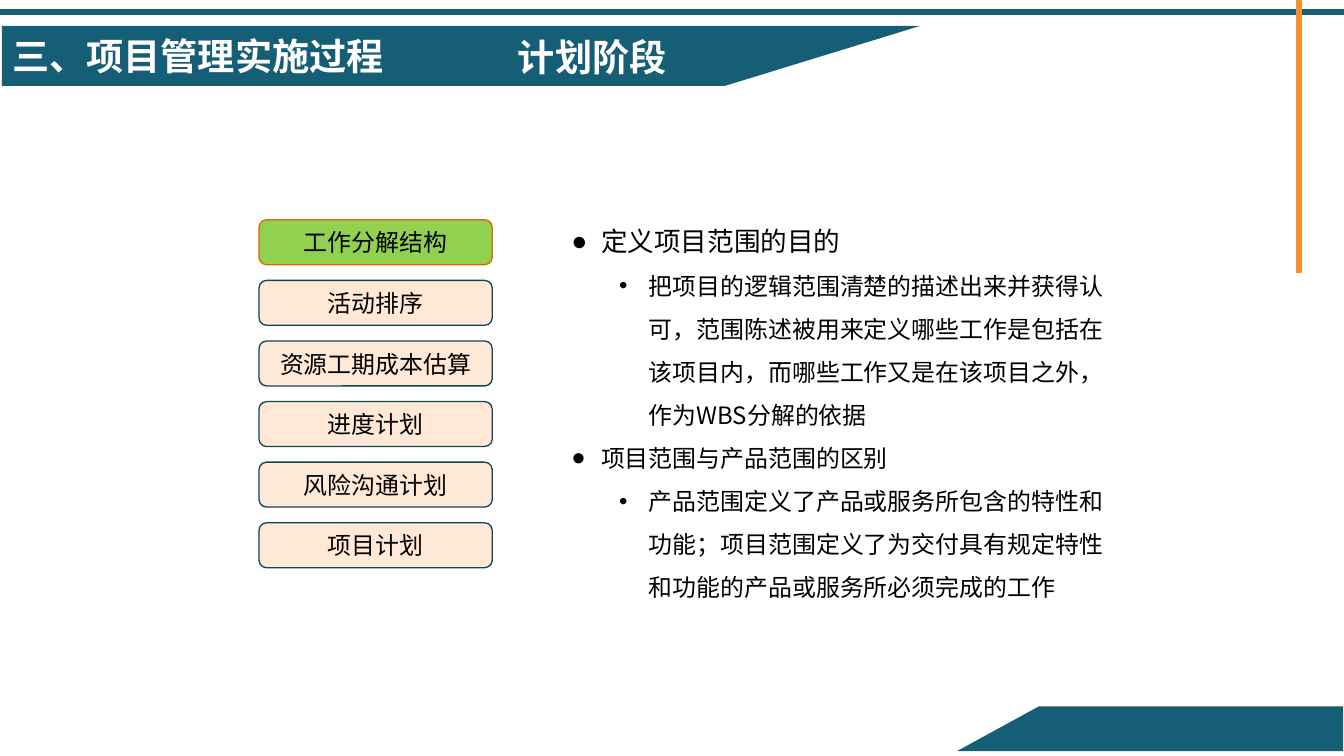
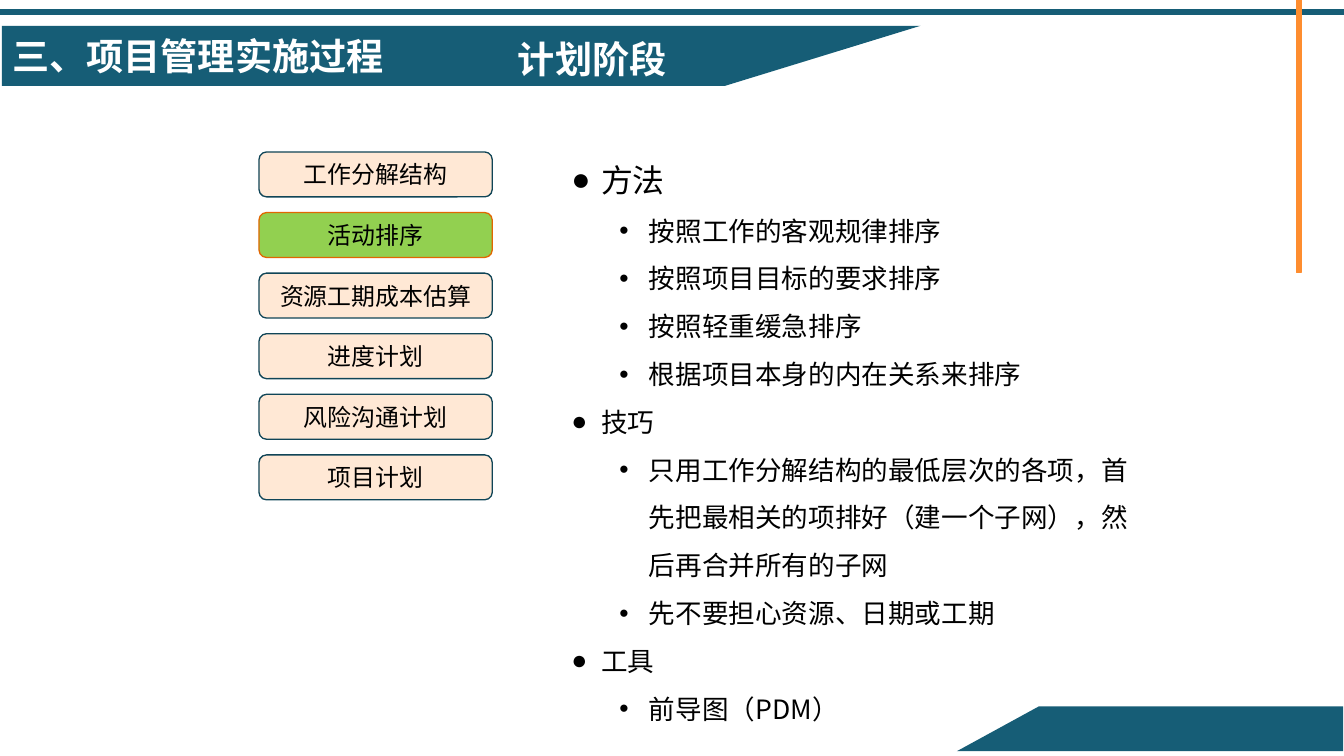
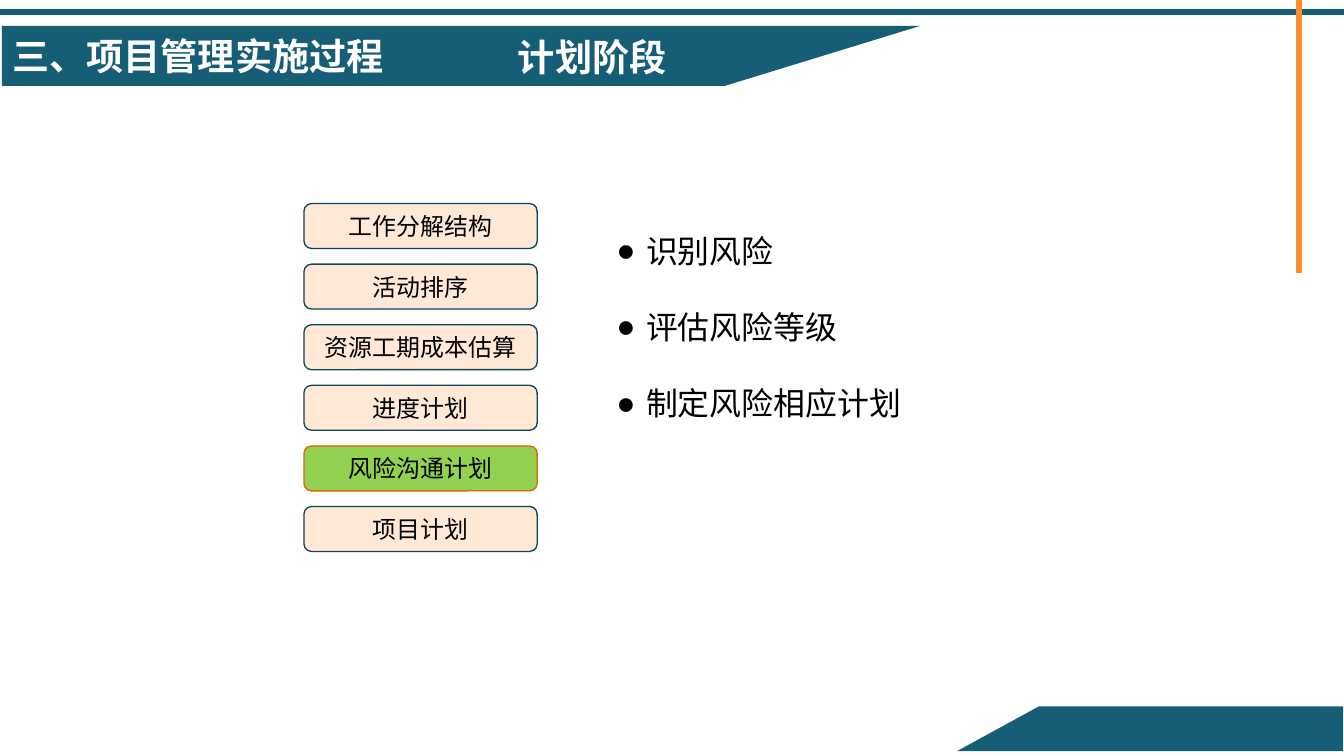
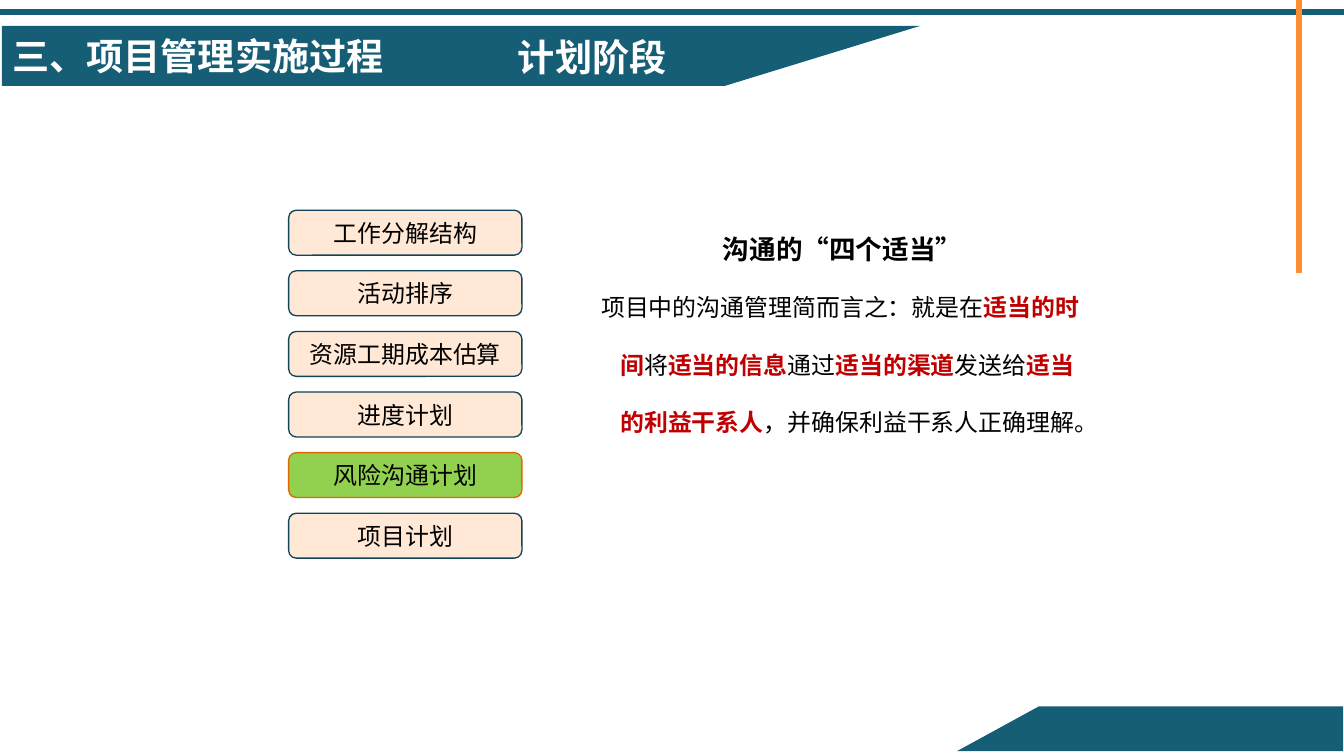
from lxml.etree import SubElement as Sub
from pptx import Presentation
from pptx.dml.color import RGBColor as RGB
from pptx.enum.shapes import MSO_SHAPE as Kind
from pptx.enum.text import MSO_ANCHOR as Anchor, MSO_AUTO_SIZE as Fit, PP_ALIGN as Align
from pptx.oxml.ns import qn
from pptx.util import Inches, Pt

HUES = {
    "teal": "165D76", "orange": "FE8D2F", "cream": "FFE8D5", "edge": "104557",
    "green": "92D050", "rust": "E16701", "red": "C00000", "ink": "000000", "white": "FFFFFF",
}
SANS = "Noto Sans CJK SC"
STEPS = ["工作分解结构", "活动排序", "资源工期成本估算", "进度计划", "风险沟通计划", "项目计划"]
PITCH = 3.17 / 5


def put(par, text, size=18, hue="ink", bold=False, font=SANS,
        align=None, gap=None, level=0, left=None, hang=0, mark=None):
    if left is not None:
        props = par._p.get_or_add_pPr()
        props.set("marL", str(Inches(left)))
        props.set("indent", str(Inches(hang)))
        par.level = level
        if mark:
            Sub(props, qn("a:buFont")).set("typeface", "Arial")
            Sub(props, qn("a:buChar")).set("char", mark)
        else:
            Sub(props, qn("a:buNone"))
    if align is not None:
        par.alignment = align
    if gap:
        par.line_spacing = gap
    run = par.add_run()
    run.text = text
    run.font.size = Pt(size)
    run.font.bold = bold
    run.font.color.rgb = RGB.from_string(HUES[hue])
    run.font.name = font
    Sub(run._r.get_or_add_rPr(), qn("a:ea")).set("typeface", SANS)


def tint(shape, fill, line=None):
    shape.shadow.inherit = False
    shape.fill.solid()
    shape.fill.fore_color.rgb = RGB.from_string(HUES[fill])
    if line:
        shape.line.color.rgb = RGB.from_string(HUES[line])
        shape.line.width = Pt(1)
    else:
        shape.line.fill.background()


deck = Presentation()
deck.slide_width, deck.slide_height = Inches(14.06), Inches(7.91)
layout = deck.slide_layouts[5]
slides = [deck.slides.add_slide(layout) for _ in range(4)]

bars = [
    (0, 0.1, 14.06, 0.05, "teal"),
    (13.56, 0, 0.05, 0.85, "orange"),
    (13.56, 0.65, 0.05, 2.2, "orange"),
]
bands = [
    [(0.02, 0.27), (9.63, 0.27), (7.58, 0.9), (0.02, 0.9)],
    [(14.05, 7.86), (10.01, 7.86), (10.87, 7.39), (14.05, 7.39)],
]
shapes = slides[0].shapes
frame = []
for *box, hue in bars:
    bar = shapes.add_shape(Kind.RECTANGLE, *map(Inches, box))
    tint(bar, hue, hue)
    frame.append(bar)
for band in bands:
    spots = [(Inches(x), Inches(y)) for x, y in band]
    pen = shapes.build_freeform(*spots[0])
    pen.add_line_segments(spots[1:], close=True)
    form = pen.convert_to_shape()
    tint(form, "teal")
    frame.append(form)
for part in frame:
    layout.shapes.element.append(part.element)

pages = [
    (2.71, 2.3, 0, 0.31, (5.38, 2.14, 6.3, 4.24), 1.5, [
        (1, 20, "定义项目范围的目的"),
        (2, 18, "把项目的逻辑范围清楚的描述出来并获得认可，范围陈述被用来定义哪些工作是包括在该项目内，而哪些工作又是在该项目之外，作为WBS分解的依据"),
        (1, 18, "项目范围与产品范围的区别"),
        (2, 18, "产品范围定义了产品或服务所包含的特性和功能；项目范围定义了为交付具有规定特性和功能的产品或服务所必须完成的工作"),
    ]),
    (2.71, 1.59, 1, 0.33, (5.38, 1.43, 6.61, 6.21), 1.5, [
        (1, 24, "方法"),
        (2, 20, "按照工作的客观规律排序"),
        (2, 20, "按照项目目标的要求排序"),
        (2, 20, "按照轻重缓急排序"),
        (2, 20, "根据项目本身的内在关系来排序"),
        (1, 20, "技巧"),
        (2, 20, "只用工作分解结构的最低层次的各项，首先把最相关的项排好（建一个子网），然后再合并所有的子网"),
        (2, 20, "先不要担心资源、日期或工期"),
        (1, 20, "工具"),
        (2, 20, "前导图（PDM）"),
    ]),
    (3.18, 2.13, 4, 0.31, (5.85, 1.97, 5.75, 2.4), 2.0, [
        (1, 24, "识别风险"),
        (1, 24, "评估风险等级"),
        (1, 24, "制定风险相应计划"),
    ]),
    (3.02, 2.2, 4, 0.31, (5.69, 2.05, 5.75, 2.59), 2.0, []),
]
bodies = []
for slide, (left, top, now, high, area, gap, rows) in zip(slides, pages):
    shapes = slide.shapes
    title = shapes.title
    title.left, title.top, title.width, title.height = map(Inches, (0.02, 0.3, 4.9, 0.58))
    text = title.text_frame
    text.auto_size = Fit.NONE
    text.word_wrap = True
    text.vertical_anchor = Anchor.TOP
    text.margin_left = text.margin_right = Inches(0.11)
    put(text.paragraphs[0], "三、项目管理实施过程", size=28, hue="white", bold=True, align=Align.LEFT)

    phase = shapes.add_textbox(*map(Inches, (5.32, high, 1.93, 0.57))).text_frame
    phase.word_wrap = True
    phase.auto_size = Fit.SHAPE_TO_FIT_TEXT
    put(phase.paragraphs[0], "计划阶段", size=28, hue="white", bold=True, font="Calibri")

    for i, step in enumerate(STEPS):
        box = map(Inches, (left, top + i * PITCH, 2.44, 0.47))
        card = shapes.add_shape(Kind.ROUNDED_RECTANGLE, *box)
        tint(card, *(("green", "rust") if i == now else ("cream", "edge")))
        card.text_frame.word_wrap = True
        card.text_frame.vertical_anchor = Anchor.MIDDLE
        put(card.text_frame.paragraphs[0], step, align=Align.CENTER)

    body = shapes.add_textbox(*map(Inches, area)).text_frame
    body.word_wrap = True
    body.auto_size = Fit.SHAPE_TO_FIT_TEXT
    bodies.append(body)
    for i, (level, size, line) in enumerate(rows):
        par = body.add_paragraph() if i else body.paragraphs[0]
        put(par, line, size=size, gap=gap, level=level,
            left=0.31 + level * 0.5, hang=-0.31, mark="●" if level == 1 else "•")

body = bodies[-1]
look = dict(gap=2.0, level=1, left=0.7, hang=-0.2)
put(body.paragraphs[0], "沟通的“四个适当”", size=20, bold=True, align=Align.CENTER, **look)
par = body.add_paragraph()
put(par, "项目中的沟通管理简而言之：就是在", **look)
pairs = [
    ("适当的时间", "将"),
    ("适当的信息", "通过"),
    ("适当的渠道", "发送给"),
    ("适当的利益干系人", "，并确保利益干系人正确理解。"),
]
for key, rest in pairs:
    put(par, key, hue="red", bold=True)
    put(par, rest)

deck.save("out.pptx")
